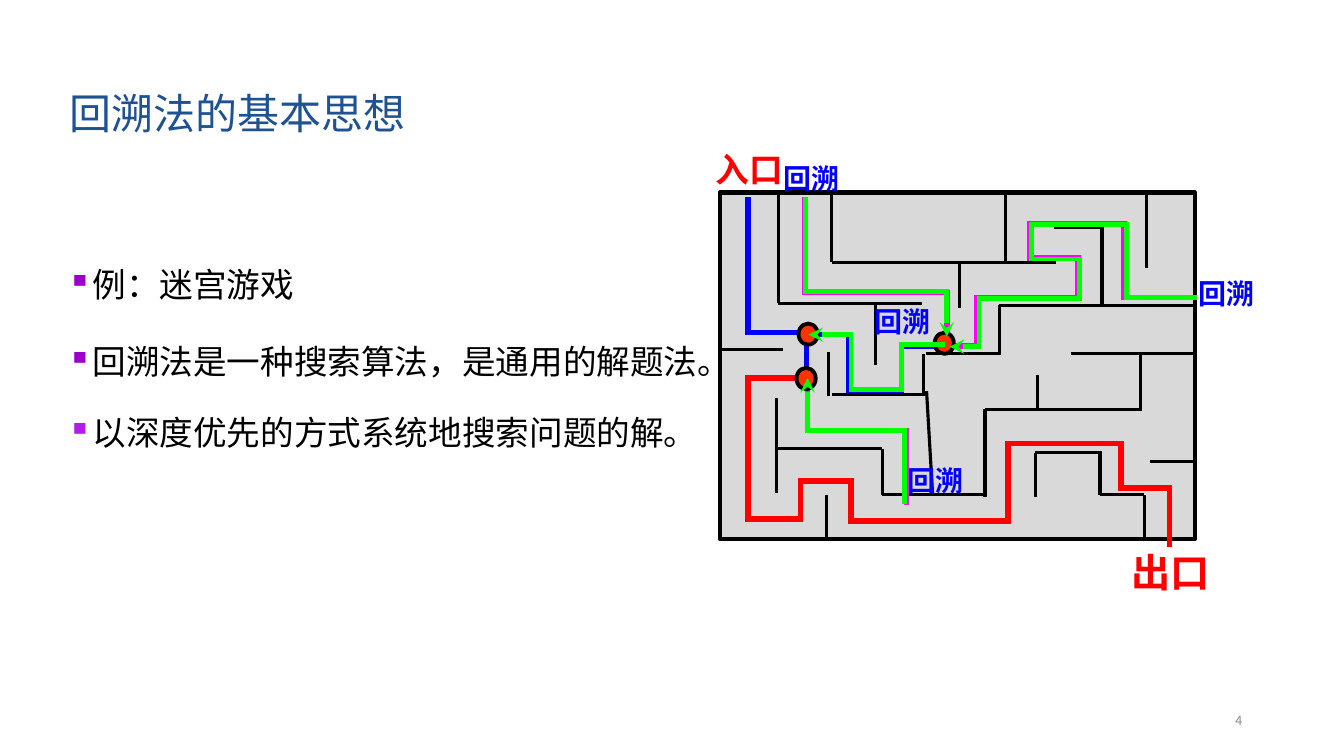
"""Build the backtracking slide with its maze diagram."""
from dataclasses import dataclass
from itertools import pairwise
from typing import Any

from lxml.etree import SubElement
from pptx import Presentation
from pptx.dml.color import RGBColor
from pptx.enum.shapes import MSO_CONNECTOR, MSO_SHAPE
from pptx.enum.text import MSO_ANCHOR, PP_ALIGN
from pptx.oxml.ns import qn
from pptx.util import Inches, Pt

Point = tuple[float, float]

COLORS = {
    "title": "1E5293", "black": "000000", "number": "8C8C8C", "floor": "D9D9D9",
    "red": "FF0000", "blue": "0000FF", "magenta": "FF00FF", "violet": "E91DE4",
    "green": "00FF00", "junction": "FF3300", "bullet": "9900CC", "last_bullet": "B21BEF",
}


@dataclass
class Route:
    """A run of straight segments through corner points."""
    color: str
    corners: list[Point]
    width: float = 4
    arrow: bool = False


@dataclass
class Label:
    """A bold caption on the maze."""
    text: str
    left: float
    top: float
    width: float
    height: float = 0.43
    size: float = 20
    color: str = "blue"
    line_height: float = 24


@dataclass
class Bullet:
    """A bulleted statement."""
    text: str
    color: str
    space_before: float


WALLS = [
    [(9.77, 4.91), (8.75, 4.91)], [(7.72, 1.89), (7.72, 3.01)],
    [(8.25, 1.91), (8.25, 2.6), (10.47, 2.6)], [(7.72, 3.01), (9.14, 3.01)],
    [(8.68, 3.01), (8.68, 3.62)], [(9.52, 2.6), (9.52, 3.06)],
    [(9.97, 1.91), (9.97, 2.6)], [(10.45, 2.26), (10.95, 2.26)],
    [(10.93, 2.26), (10.93, 3.03)], [(11.83, 3.03), (9.91, 3.03), (9.91, 3.51)],
    [(11.37, 1.91), (11.37, 2.66)], [(7.12, 3.47), (7.77, 3.47)],
    [(9.93, 3.51), (9.18, 3.51)], [(9.16, 3.51), (9.16, 3.93)],
    [(9.16, 3.91), (8.25, 3.91)], [(8.22, 3.93), (8.22, 3.49)],
    [(7.7, 3.95), (7.7, 4.89)], [(7.7, 4.45), (8.75, 4.45), (8.75, 4.91)],
    [(11.35, 5.37), (11.35, 4.91), (10.91, 4.91), (10.91, 4.49)],
    [(11.41, 4.58), (11.83, 4.58)], [(11.83, 3.51), (10.62, 3.51)],
    [(11.31, 3.51), (11.31, 4.08)], [(10.93, 4.49), (10.27, 4.49), (10.27, 4.93)],
    [(11.31, 4.06), (9.77, 4.06), (9.77, 4.93)], [(8.2, 4.91), (8.2, 5.33)],
    [(10.29, 4.06), (10.29, 3.72)], [(9.25, 4.91), (9.19, 3.88)],
    [(8.23, 4.07), (8.23, 4.07)],
]
FORWARD_ROUTES = [
    Route("blue", [(7.42, 1.98), (7.42, 3.3), (8, 3.3), (8, 3.75)]),
    Route("red", [(8, 3.75), (7.42, 3.75), (7.42, 5.15), (7.94, 5.15), (7.94, 4.77),
                  (8.44, 4.77), (8.44, 5.17), (10, 5.17), (10, 4.4), (11.12, 4.4),
                  (11.12, 4.84), (11.6, 4.84), (11.6, 5.4)]),
    Route("blue", [(7.98, 3.32), (8.42, 3.32), (8.42, 3.87), (8.94, 3.87),
                   (8.94, 3.43), (9.37, 3.43)]),
    Route("magenta", [(9.39, 3.4), (9.39, 2.9), (7.98, 2.9), (7.98, 1.98)]),
    Route("magenta", [(9.37, 3.43), (9.69, 3.43), (9.69, 2.95), (10.69, 2.95),
                      (10.69, 2.56), (10.21, 2.56), (10.21, 2.22), (11.15, 2.22),
                      (11.15, 2.95), (11.83, 2.95)]),
    Route("violet", [(8.01, 3.73), (8.01, 4.27), (8.99, 4.27), (8.99, 4.98)]),
]
BACKTRACKS = [
    [(9.39, 3.34), (9.39, 2.89), (7.99, 2.89), (7.99, 1.98)],
    [(9.42, 3.44), (9.71, 3.44), (9.71, 2.96), (10.71, 2.96), (10.71, 2.57),
     (10.23, 2.57), (10.23, 2.23), (11.17, 2.23), (11.17, 2.95), (11.85, 2.95)],
    [(8.02, 3.32), (8.44, 3.32), (8.44, 3.86), (8.94, 3.86), (8.94, 3.42), (9.35, 3.42)],
    [(8.01, 3.75), (8.01, 4.27), (8.97, 4.27), (8.97, 4.98)],
]
JUNCTIONS = [(7.92, 3.21), (9.27, 3.3), (7.9, 3.65)]
LABELS = [
    Label("入口", 7, 1.51, 0.94, 0.42, 24, "red", 23),
    Label("出口", 11.12, 5.48, 1.02, 0.47, 28, "red", 27),
    Label("回溯", 11.79, 2.69, 0.83),
    Label("回溯", 7.67, 1.55, 0.79),
    Label("回溯", 8.9, 4.55, 0.83),
    Label("回溯", 8.58, 2.97, 0.83),
]
BULLETS = [
    Bullet("例：迷宫游戏", "bullet", 0),
    Bullet("回溯法是一种搜索算法，是通用的解题法。", "bullet", 12),
    Bullet("以深度优先的方式系统地搜索问题的解。", "last_bullet", 7.5),
]


def rgb(name: str) -> RGBColor:
    """Return a named colour."""
    return RGBColor.from_string(COLORS[name])


def apply_format(target: Any, values: dict[str, Any]) -> None:
    """Set each format value on the target."""
    for name, value in values.items():
        setattr(target, name, value)


def format_paragraph(paragraph: Any, text: str, font: str, size: float, color: str,
                     bold: bool = False, **layout: Any) -> None:
    """Fill a paragraph and format it."""
    paragraph.text = text
    apply_format(paragraph, layout)
    apply_format(paragraph.font, {"name": font, "size": Pt(size), "bold": bold})
    paragraph.font.color.rgb = rgb(color)


def add_text_frame(slide: Any, left: float, top: float, width: float, height: float,
                   wrap: bool = True) -> Any:
    """Add a text box and return its frame."""
    box = slide.shapes.add_textbox(*map(Inches, (left, top, width, height)))
    box.text_frame.word_wrap = wrap
    return box.text_frame


def add_solid(slide: Any, kind: MSO_SHAPE, left: float, top: float, width: float,
              height: float, fill: str, line_width: float) -> None:
    """Add a filled shape with a black outline."""
    shape = slide.shapes.add_shape(kind, *map(Inches, (left, top, width, height)))
    shape.shadow.inherit = False
    shape.fill.solid()
    shape.fill.fore_color.rgb = rgb(fill)
    shape.line.color.rgb = rgb("black")
    shape.line.width = Pt(line_width)


def add_route(slide: Any, route: Route) -> None:
    """Draw a route as connectors, with an arrowhead at its start if asked."""
    for index, (start, end) in enumerate(pairwise(route.corners)):
        connector = slide.shapes.add_connector(
            MSO_CONNECTOR.STRAIGHT, *map(Inches, (*start, *end)))
        connector.line.color.rgb = rgb(route.color)
        connector.line.width = Pt(route.width)
        properties = connector.line._get_or_add_ln()
        if route.arrow and index == 0:
            SubElement(properties, qn("a:headEnd"), type="stealth")
        else:
            properties.set("cap", "sq" if route.width > 3 else "flat")
        SubElement(connector._element.spPr, qn("a:effectLst"))


def add_bullets(slide: Any) -> None:
    """Add the bulleted statements."""
    frame = add_text_frame(slide, 0.57, 2.37, 8.01, 2.91)
    for index, bullet in enumerate(BULLETS):
        paragraph = frame.add_paragraph() if index else frame.paragraphs[0]
        properties = paragraph._p.get_or_add_pPr()
        apply_format(properties, {"marL": Inches(0.19), "indent": Inches(-0.19)})
        bullet_color = SubElement(properties, qn("a:buClr"))
        SubElement(bullet_color, qn("a:srgbClr"), val=COLORS[bullet.color])
        SubElement(properties, qn("a:buChar"), char="▪")
        format_paragraph(paragraph, bullet.text, "Arial", 24, "black",
                         line_spacing=Pt(43.2), space_before=Pt(bullet.space_before))


def main() -> None:
    """Build and save the slide."""
    presentation = Presentation()
    apply_format(presentation, {"slide_width": Inches(13.33), "slide_height": Inches(7.5)})
    slide = presentation.slides.add_slide(presentation.slide_layouts[5])
    title = slide.shapes.title
    apply_format(title, {"left": Inches(0.59), "top": Inches(0.42),
                         "width": Inches(11.5), "height": Inches(1.45)})
    title.text_frame.vertical_anchor = MSO_ANCHOR.MIDDLE
    format_paragraph(title.text_frame.paragraphs[0], "回溯法的基本思想", "Arial", 30, "title",
                     alignment=PP_ALIGN.LEFT, line_spacing=0.9)
    add_bullets(slide)
    number = add_text_frame(slide, 9.42, 6.95, 3, 0.4)
    number.vertical_anchor = MSO_ANCHOR.MIDDLE
    format_paragraph(number.paragraphs[0], "4", "Noto Sans CJK SC", 9, "number",
                     alignment=PP_ALIGN.RIGHT)
    add_solid(slide, MSO_SHAPE.RECTANGLE, 7.14, 1.91, 4.71, 3.44, "floor", 3)
    for route in [Route("black", wall, 2.25) for wall in WALLS] + FORWARD_ROUTES:
        add_route(slide, route)
    for left, top in JUNCTIONS:
        add_solid(slide, MSO_SHAPE.OVAL, left, top, 0.19, 0.21, "junction", 2.75)
    for corners in BACKTRACKS:
        add_route(slide, Route("green", corners, 3.5, True))
    for label in LABELS:
        frame = add_text_frame(slide, label.left, label.top, label.width, label.height, False)
        format_paragraph(frame.paragraphs[0], label.text, "Times New Roman", label.size,
                         label.color, True, line_spacing=Pt(label.line_height))
    presentation.save("out.pptx")


if __name__ == "__main__":
    main()
